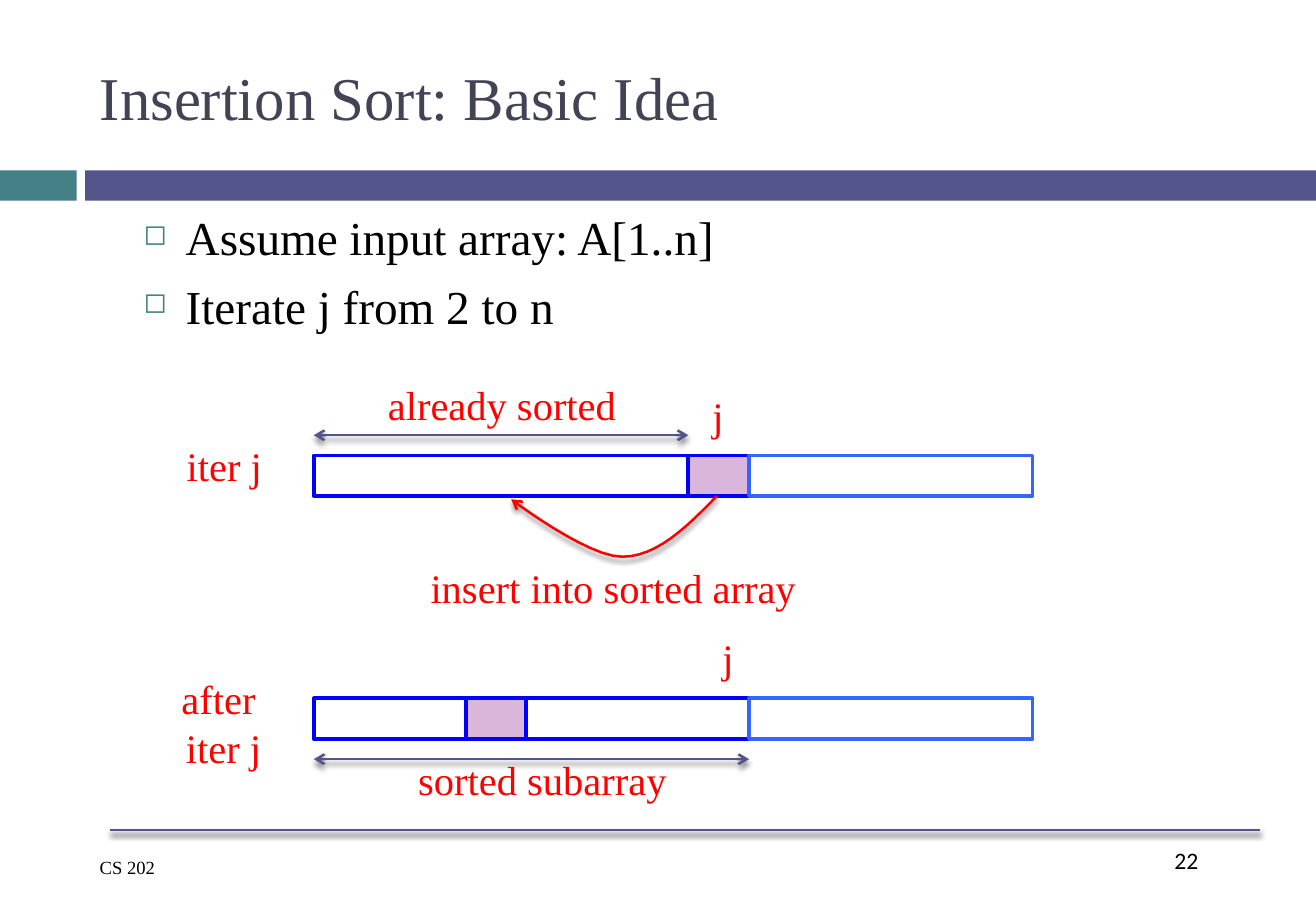
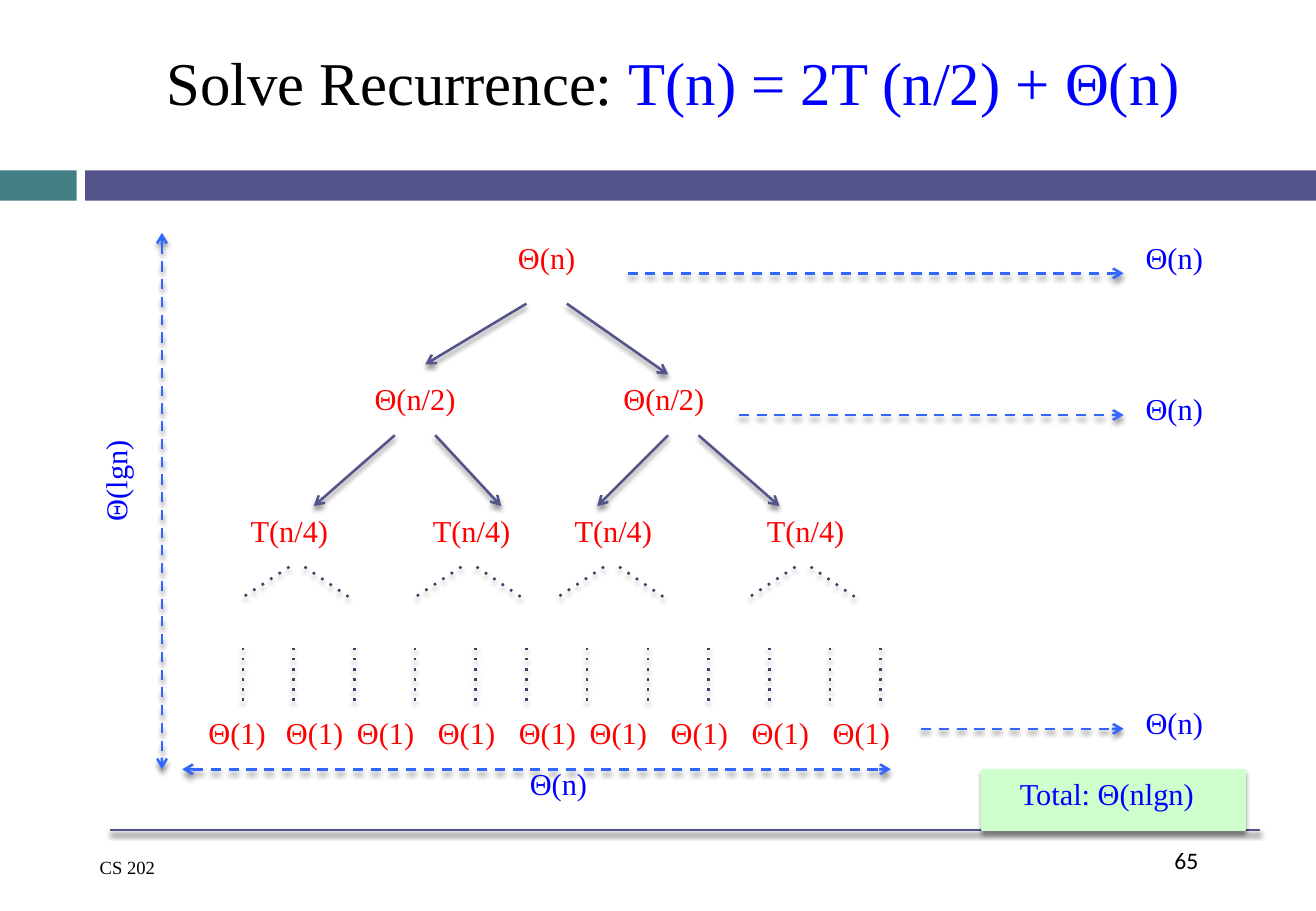
import pptx
import pptx.dml.color
import pptx.enum.shapes
import pptx.enum.text
import pptx.oxml.ns
import pptx.util
from lxml import etree

Pt = pptx.util.Pt
RGB = pptx.dml.color.RGBColor.from_string
ALIGN = pptx.enum.text.PP_ALIGN
ANCHOR = pptx.enum.text.MSO_ANCHOR
RECTANGLE = pptx.enum.shapes.MSO_SHAPE.RECTANGLE
STRAIGHT = pptx.enum.shapes.MSO_CONNECTOR.STRAIGHT
qn = pptx.oxml.ns.qn

SERIF = "Times New Roman"
COLORS = {
    "teal": "438086", "indigo": "53548A", "slate": "424456", "dots": "3E3F68",
    "black": "000000", "white": "FFFFFF", "red": "FF0000", "blue": "0000FF",
    "sky": "3366FF", "lilac": "DBB6DC", "mint": "CCFFCC",
}


def label(slide, text, left, top, width, size, color="red", height=36,
          align=ALIGN.CENTER, font=SERIF):
    box = slide.shapes.add_textbox(Pt(left), Pt(top), Pt(width), Pt(height))
    box.text_frame.word_wrap = False
    box.text_frame.text = text
    for paragraph in box.text_frame.paragraphs:
        paragraph.alignment = align
        for run in paragraph.runs:
            run.font.name = font
            run.font.size = Pt(size)
            run.font.color.rgb = RGB(COLORS[color])
    return box


def style_line(shape, color, dash=None, ends=(), width=1.5):
    """Set the outline, its arrowheads ("headEnd", "tailEnd") and a soft shadow."""
    shape.line.color.rgb = RGB(COLORS[color])
    shape.line.width = Pt(width)
    properties = shape._element.spPr
    outline = properties.find(qn("a:ln"))
    if dash:
        etree.SubElement(outline, qn("a:prstDash"), val=dash)
    for end in ends:
        etree.SubElement(outline, qn("a:" + end), type="arrow")
    effects = etree.SubElement(properties, qn("a:effectLst"))
    shadow = etree.SubElement(
        effects, qn("a:outerShdw"), blurRad=str(Pt(3)), dist=str(Pt(2.4)),
        dir="5400000", rotWithShape="0")
    tint = etree.SubElement(shadow, qn("a:srgbClr"), val=COLORS["black"])
    etree.SubElement(tint, qn("a:alpha"), val="45000")


TAIL = ("tailEnd",)
BOTH = ("headEnd", "tailEnd")

deck = pptx.Presentation()
deck.slide_width, deck.slide_height = Pt(780), Pt(540)

# Shared frame: title, bands, footer
frames = [
    ("22", (52, 18, 695.5, 78), ALIGN.LEFT,
     [("Insertion Sort: Basic Idea", "slate")]),
    ("65", (78, 0, 642, 96), ALIGN.CENTER,
     [("Solve Recurrence: ", "black"), ("T(n) = 2T (n/2) + Θ(n)", "blue")]),
]
for number, title_area, title_align, title_parts in frames:
    slide = deck.slides.add_slide(deck.slide_layouts[5])
    title = slide.shapes.title
    title.left, title.top, title.width, title.height = map(Pt, title_area)
    title.text_frame.auto_size = pptx.enum.text.MSO_AUTO_SIZE.NONE
    title.text_frame.vertical_anchor = ANCHOR.MIDDLE
    heading = title.text_frame.paragraphs[0]
    heading.alignment = title_align
    for text, color in title_parts:
        run = heading.add_run()
        run.text = text
        run.font.name = SERIF
        run.font.size = Pt(36)
        run.font.color.rgb = RGB(COLORS[color])

    for left, width, color in [(0, 45.5, "teal"), (50.5, 729.5, "indigo")]:
        band = slide.shapes.add_shape(RECTANGLE, Pt(left), Pt(101), Pt(width), Pt(18))
        band.shadow.inherit = False
        band.fill.solid()
        band.fill.fore_color.rgb = RGB(COLORS[color])
        band.line.fill.background()

    label(slide, number, 689, 498, 58, 14, "black", align=ALIGN.LEFT, font="Calibri")
    label(slide, "CS 202", 52, 504, 143, 11, "black", 21, ALIGN.LEFT)
    footer_rule = slide.shapes.add_connector(STRAIGHT, Pt(65), Pt(492), Pt(747), Pt(492))
    style_line(footer_rule, "indigo")

sort_slide, recurrence_slide = deck.slides

# Insertion sort: bullets
steps = label(sort_slide, "Assume input array: A[1..n]\nIterate j from 2 to n",
              78, 120, 642, 28, "black", 90, ALIGN.LEFT)
steps.text_frame.word_wrap = True
for paragraph in steps.text_frame.paragraphs:
    paragraph.space_before = Pt(7)
    indent = paragraph._p.get_or_add_pPr()
    indent.set("marL", str(Pt(25)))
    indent.set("indent", str(Pt(-25)))
    bullet_color = etree.SubElement(indent, qn("a:buClr"))
    etree.SubElement(bullet_color, qn("a:srgbClr"), val=COLORS["teal"])
    etree.SubElement(indent, qn("a:buSzPct"), val="60000")
    etree.SubElement(indent, qn("a:buChar"), char="◻")

# Insertion sort: the array before and after one iteration
array_cells = [
    (186, 270, 222, "white", "blue"),
    (408, 270, 36, "lilac", "blue"),
    (444, 270, 168, "white", "sky"),
    (186, 414, 258, "white", "blue"),
    (276, 414, 36, "lilac", "blue"),
    (444, 414, 168, "white", "sky"),
]
for left, top, width, fill, outline in array_cells:
    cell = sort_slide.shapes.add_shape(RECTANGLE, Pt(left), Pt(top), Pt(width), Pt(24))
    cell.shadow.inherit = False
    cell.fill.solid()
    cell.fill.fore_color.rgb = RGB(COLORS[fill])
    cell.line.color.rgb = RGB(COLORS[outline])
    cell.line.width = Pt(2.29)

for text, left, top, width in [
    ("iter j", 102, 258, 62),
    ("j", 415, 228, 21),
    ("already sorted", 222, 222, 151),
    ("after \niter j", 100, 396, 65),
    ("j", 421, 372, 21),
    ("insert into sorted array", 246, 330, 235),
    ("sorted subarray", 240, 444, 163),
]:
    label(sort_slide, text, left, top, width, 24)

for right, y in [(408, 258), (444, 450)]:
    extent = sort_slide.shapes.add_connector(STRAIGHT, Pt(186), Pt(y), Pt(right), Pt(y))
    style_line(extent, "indigo", ends=BOTH)

# Curved arrow, sampled from two cubic Bézier pieces
pieces = [
    [(425, 294), (407.5, 312), (389.5, 330), (369, 330)],
    [(369, 330), (348.5, 330.5), (303, 296), (303, 296)],
]
samples = 12
curve = []
for piece in pieces:
    for step in range(1, samples + 1):
        t = step / samples
        weights = ((1 - t) ** 3, 3 * t * (1 - t) ** 2, 3 * t ** 2 * (1 - t), t ** 3)
        curve.append(tuple(
            Pt(sum(w * point[axis] for w, point in zip(weights, piece)))
            for axis in (0, 1)))
insertion = sort_slide.shapes.build_freeform(Pt(425), Pt(294))
insertion.add_line_segments(curve, close=False)
insertion_arrow = insertion.convert_to_shape()
insertion_arrow.fill.background()
style_line(insertion_arrow, "red", ends=TAIL)

# Recurrence: total
total = recurrence_slide.shapes.add_shape(RECTANGLE, Pt(582), Pt(456), Pt(156), Pt(36))
total.fill.solid()
total.fill.fore_color.rgb = RGB(COLORS["mint"])
style_line(total, "mint", width=0.79)
total.text_frame.text = "Total: Θ(nlgn)"
total.text_frame.vertical_anchor = ANCHOR.TOP
total.text_frame.margin_right = Pt(15)
total_line = total.text_frame.paragraphs[0]
total_line.alignment = ALIGN.CENTER
total_line.runs[0].font.name = SERIF
total_line.runs[0].font.size = Pt(18)
total_line.runs[0].font.color.rgb = RGB(COLORS["blue"])

# Recurrence: tree edges, dotted continuations and dashed measures
edges = [
    (312, 180, 252, 216), (336, 180, 396, 222),
    (234, 258, 186, 300), (258, 258, 297, 300),
    (396, 258, 354, 300), (414, 258, 462, 300),
]
continuations = []
for peak in (171.5, 273.5, 358, 471.5):
    continuations += [(peak, 336, peak - 27.5, 354), (peak + 9, 336, peak + 35.5, 354)]
for x in (144, 174, 210, 246, 282, 312, 348, 384, 420, 456, 492, 522):
    continuations.append((x, 384, x, 420))
level_costs = [(372, 162, 666, 162), (438, 246, 666, 246), (546, 432, 666, 432)]
extents = [(108, 456, 528, 456), (96, 138, 96, 456)]

for group, color, dash, ends in [
    (edges, "indigo", None, TAIL),
    (continuations, "dots", "dot", ()),
    (level_costs, "sky", "dash", TAIL),
    (extents, "sky", "dash", BOTH),
]:
    for points in group:
        link = recurrence_slide.shapes.add_connector(STRAIGHT, *map(Pt, points))
        style_line(link, color, dash, ends)

# Recurrence: terms, level by level
for text, top, width, color, lefts in [
    ("Θ(n)", 138, 60, "red", [294]),
    ("Θ(n/2)", 222, 79, "red", [206.5, 354]),
    ("T(n/4)", 300, 79, "red", [132, 240, 324, 438]),
    ("Θ(1)", 420, 49, "red", [116, 162, 204, 252, 300, 342, 390, 438, 486]),
    ("Θ(n)", 450, 60, "blue", [301]),
    ("Θ(n)", 138, 60, "blue", [666]),
    ("Θ(n)", 228, 60, "blue", [666]),
    ("Θ(n)", 414, 60, "blue", [666]),
]:
    for left in lefts:
        label(recurrence_slide, text, left, top, width, 18, color)
tree_height = label(recurrence_slide, "Θ(lgn)", 32.5, 267, 79, 18, "blue")
tree_height.rotation = 270

deck.save("out.pptx")
